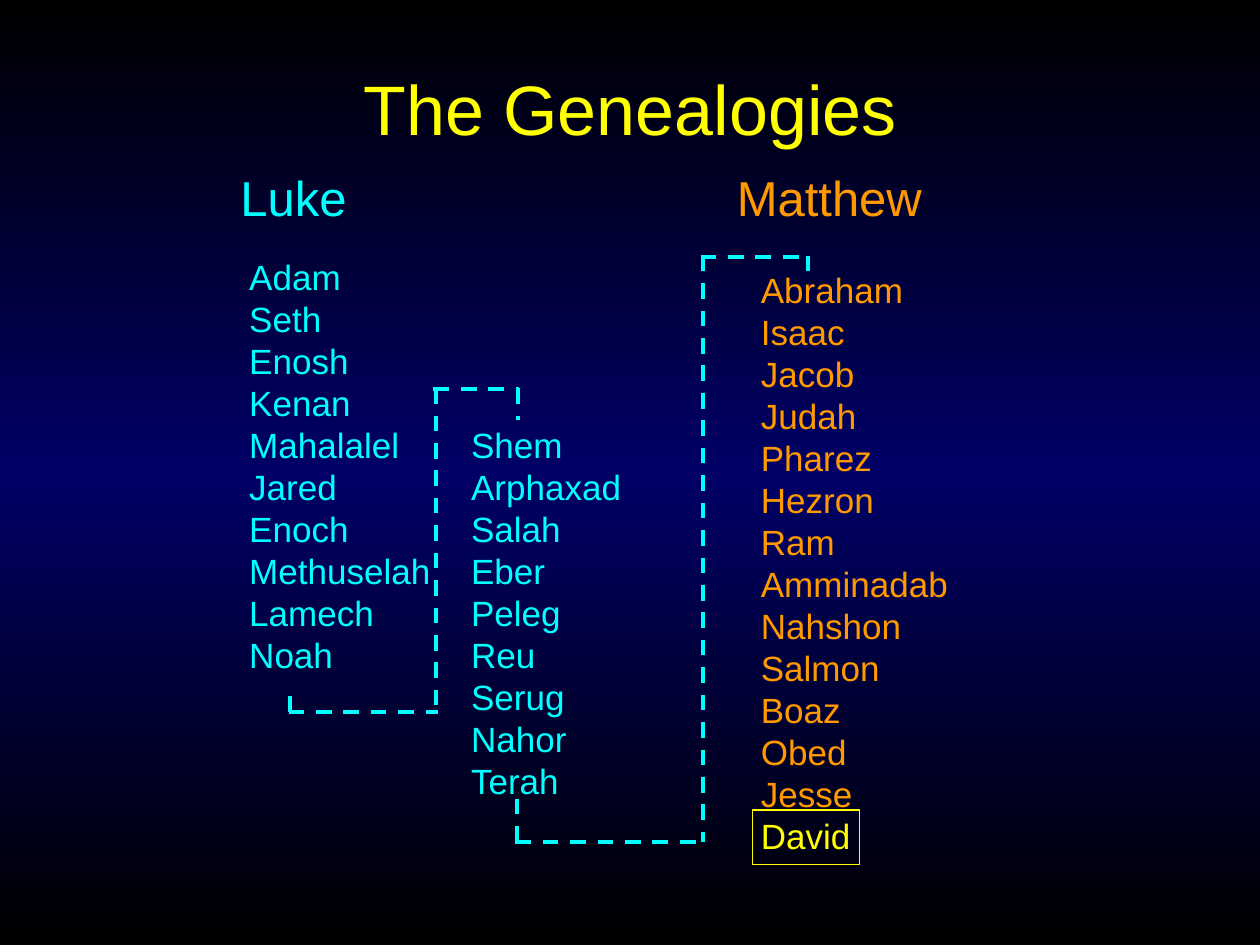
import copy
import dataclasses

import pptx
import pptx.dml.color
import pptx.enum.dml
import pptx.enum.shapes
import pptx.enum.text
import pptx.oxml.ns
import pptx.util
from lxml import etree

Inches = pptx.util.Inches
Pt = pptx.util.Pt
Anchor = pptx.enum.text.MSO_ANCHOR
Align = pptx.enum.text.PP_ALIGN


@dataclasses.dataclass(frozen=True)
class Theme:
    """Colours, font and type sizes of the slide."""
    luke: str = "00FFFF"
    matthew: str = "FF9900"
    accent: str = "FFFF00"
    backdrop: tuple = ("000000", "000066", "000000")
    font: str = "Arial"
    title_size: int = 40
    heading_size: int = 28
    name_size: int = 20
    leading: float = 1.2


THEME = Theme()
LUKE_FIRST = ["Adam", "Seth", "Enosh", "Kenan", "Mahalalel", "Jared", "Enoch",
              "Methuselah", "Lamech", "Noah"]
LUKE_SECOND = ["Shem", "Arphaxad", "Salah", "Eber", "Peleg", "Reu", "Serug",
               "Nahor", "Terah"]
MATTHEW = ["Abraham", "Isaac", "Jacob", "Judah", "Pharez", "Hezron", "Ram",
           "Amminadab", "Nahshon", "Salmon", "Boaz", "Obed", "Jesse", "David"]


def rgb(colour):
    """Turn a hex string into a colour."""
    return pptx.dml.color.RGBColor.from_string(colour)


def write(paragraph, text, *, size, colour, align=Align.LEFT, leading=None):
    """Put formatted text in a paragraph."""
    paragraph.alignment = align
    if leading:
        paragraph.line_spacing = Pt(size * leading)
    run = paragraph.add_run()
    run.text = text
    run.font.name = THEME.font
    run.font.size = Pt(size)
    run.font.color.rgb = rgb(colour)


def paint_background(slide):
    """Fill the slide with a vertical three-stop gradient."""
    fill = slide.background.fill
    fill.gradient()
    fill.gradient_angle = 90
    stop_list = slide.element.find(".//" + pptx.oxml.ns.qn("a:gsLst"))
    stop_list.insert(1, copy.deepcopy(stop_list[0]))
    for stop, colour, position in zip(fill.gradient_stops, THEME.backdrop, (0, 0.5, 1)):
        stop.color.rgb = rgb(colour)
        stop.position = position


def place_title(slide, box, text):
    """Move and format the title placeholder."""
    title = slide.shapes.title
    title.left, title.top, title.width, title.height = map(Inches, box)
    title.text_frame.vertical_anchor = Anchor.MIDDLE
    write(title.text_frame.paragraphs[0], text, size=THEME.title_size,
          colour=THEME.accent, align=Align.CENTER)


def add_lines(slide, box, lines, *, size, colour, last_colour=None):
    """Stack one paragraph per line in a text box."""
    frame = slide.shapes.add_textbox(*map(Inches, box)).text_frame
    frame.word_wrap = False
    frame.auto_size = pptx.enum.text.MSO_AUTO_SIZE.SHAPE_TO_FIT_TEXT
    frame.vertical_anchor = Anchor.TOP
    for index, line in enumerate(lines):
        paragraph = frame.add_paragraph() if index else frame.paragraphs[0]
        is_last = index == len(lines) - 1
        write(paragraph, line, size=size, leading=THEME.leading,
              colour=last_colour if is_last and last_colour else colour)


def add_descent(slide, box, *, riser, foot, drop):
    """Link the end of one list to the head of the next with dashed lines."""
    left, top, width, height = box
    right, bottom, riser_x = left + width, top + height, left + riser
    segments = [
        (riser_x, top - 0.01, riser_x, bottom),
        (left - 0.01, bottom, riser_x + 0.02, bottom),
        (left, bottom, left, bottom - foot),
        (riser_x - 0.02, top, right + 0.01, top),
        (right, top - 0.01, right, top + drop),
    ]
    link = slide.shapes.add_group_shape()
    for segment in segments:
        dash = link.shapes.add_connector(
            pptx.enum.shapes.MSO_CONNECTOR.STRAIGHT, *map(Inches, segment))
        dash.line.color.rgb = rgb(THEME.luke)
        dash.line.width = Pt(2.25)
        dash.line.dash_style = pptx.enum.dml.MSO_LINE.DASH
        etree.SubElement(dash.element.spPr, pptx.oxml.ns.qn("a:effectLst"))


def add_highlight(slide, box):
    """Draw an unfilled frame around a name."""
    highlight = slide.shapes.add_shape(
        pptx.enum.shapes.MSO_SHAPE.RECTANGLE, *map(Inches, box))
    highlight.shadow.inherit = False
    highlight.fill.background()
    highlight.line.color.rgb = rgb(THEME.accent)
    highlight.line.width = Pt(0.75)


def main():
    """Build and save the slide."""
    deck = pptx.Presentation()
    deck.slide_width, deck.slide_height = Inches(10), Inches(7.5)
    slide = deck.slides.add_slide(deck.slide_layouts.get_by_name("Title Only"))
    paint_background(slide)
    place_title(slide, (0, 0.23, 10, 1.25), "The Genealogies")

    names, heading = THEME.name_size, THEME.heading_size
    add_lines(slide, (1.88, 1.98, 1.66, 3.44), LUKE_FIRST, size=names, colour=THEME.luke)
    add_lines(slide, (5.94, 2.08, 1.72, 4.77), MATTHEW, size=names,
              colour=THEME.matthew, last_colour=THEME.accent)
    add_lines(slide, (3.64, 3.31, 1.41, 3.1), LUKE_SECOND, size=names, colour=THEME.luke)
    add_descent(slide, (2.3, 3.09, 1.81, 2.56), riser=1.16, foot=0.19, drop=0.24)
    add_lines(slide, (1.81, 1.28, 1.06, 0.57), ["Luke"], size=heading, colour=THEME.luke)
    add_lines(slide, (5.75, 1.28, 1.69, 0.57), ["Matthew"], size=heading,
              colour=THEME.matthew)
    add_descent(slide, (4.1, 2.04, 2.31, 4.64), riser=1.48, foot=0.35, drop=0.13)
    add_highlight(slide, (5.97, 6.43, 0.85, 0.43))
    deck.save("out.pptx")


if __name__ == "__main__":
    main()
